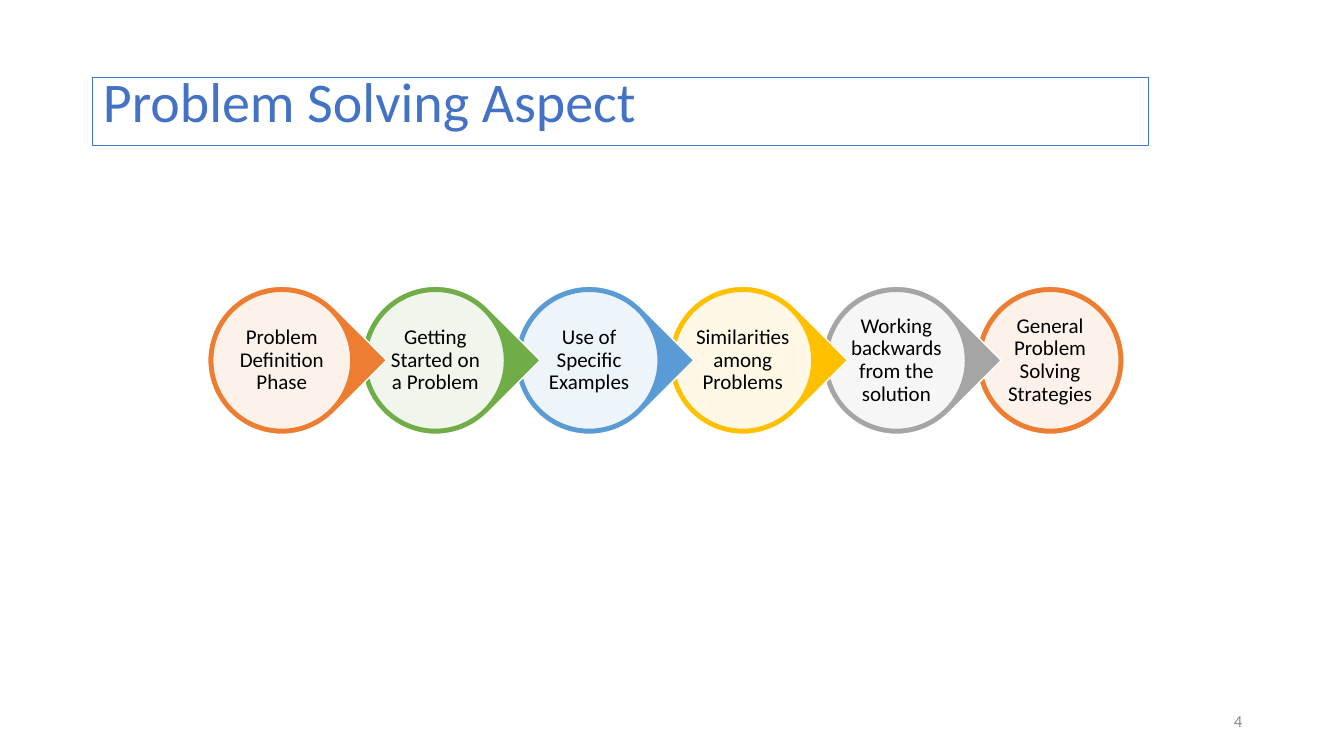
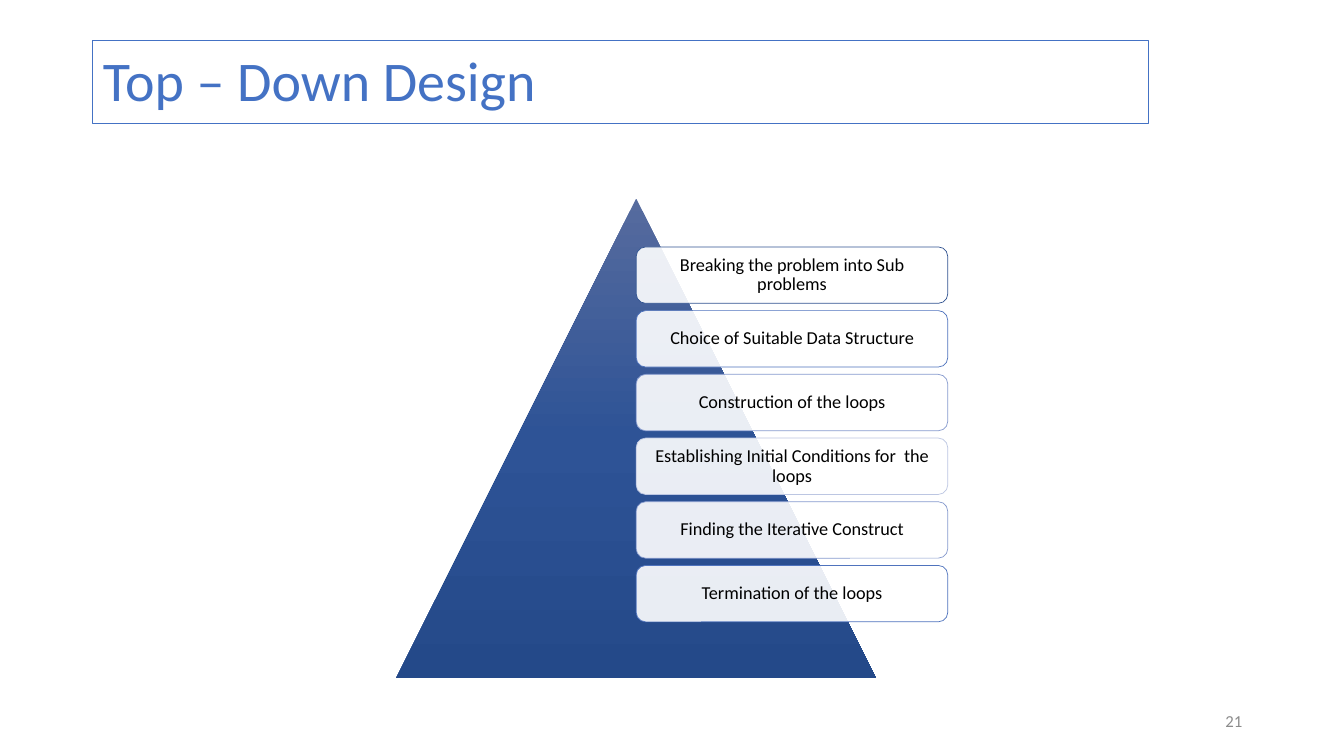
from dataclasses import dataclass
from lxml.etree import SubElement
from pptx import Presentation
from pptx.dml.color import RGBColor
from pptx.enum.shapes import MSO_SHAPE
from pptx.enum.text import MSO_ANCHOR, MSO_AUTO_SIZE, PP_ALIGN
from pptx.oxml import parse_xml
from pptx.oxml.ns import qn
from pptx.util import Emu, Pt

SCALE = 9144


@dataclass(frozen=True)
class Theme:
    font: str = "Calibri"
    blue: str = "4472C4"
    white: str = "FFFFFF"
    black: str = "000000"
    gray: str = "8C8C8C"
    title: int = 40
    step: int = 15
    card: int = 13
    foot: int = 12
    tight: float = 0.9
    veil: int = 90
    slope: tuple = ((0, "566B9E"), (50, "2E5396"), (100, "244989"))


THEME = Theme()

STEPS = (
    ("Problem Definition Phase", "ED7D31"),
    ("Getting Started on a Problem", "70AD47"),
    ("Use of Specific Examples", "5B9BD5"),
    ("Similarities among Problems", "FFC000"),
    ("Working backwards from the solution", "A5A5A5"),
    ("General Problem Solving Strategies", "ED7D31"),
)

CARDS = (
    ("Breaking the problem into Sub problems", "325491"),
    ("Choice of Suitable Data Structure", "4F73BD"),
    ("Construction of the loops", "879BCE"),
    ("Establishing Initial Conditions for  the loops", "BCC6E2"),
    ("Finding the Iterative Construct", "879BCE"),
    ("Termination of the loops", "4F73BD"),
)


def px(num):
    return Emu(round(num * SCALE))


def rgb(code):
    return RGBColor.from_string(code)


def edge(shape, color, width):
    shape.line.color.rgb = rgb(color)
    shape.line.width = Pt(width)


def write(shape, text, size, color, align, anchor=MSO_ANCHOR.MIDDLE,
          pad=10, tight=THEME.tight):
    frame = shape.text_frame
    frame.word_wrap = True
    frame.auto_size = MSO_AUTO_SIZE.NONE
    frame.vertical_anchor = anchor
    frame.margin_left = frame.margin_right = px(pad)
    frame.margin_top = frame.margin_bottom = px(pad)
    para = frame.paragraphs[0]
    para.alignment = align
    para.line_spacing = tight
    para.space_before = Pt(0)
    run = para.add_run()
    run.text = text
    run.font.name = THEME.font
    run.font.size = Pt(size)
    run.font.color.rgb = rgb(color)


def draw(slide, kind, box, fill=None):
    shape = slide.shapes.add_shape(kind, *map(px, box))
    shape.shadow.inherit = False
    if fill:
        shape.fill.solid()
        shape.fill.fore_color.rgb = rgb(fill)
    return shape


def veil(slide, kind, box, color, width):
    shape = draw(slide, kind, box, THEME.white)
    edge(shape, color, width)
    tint = shape.fill._xPr.find(qn("a:solidFill"))[0]
    SubElement(tint, qn("a:alpha"), val=str(THEME.veil * 1000))
    return shape


def shade(shape, stops):
    marks = "".join(
        f'<a:gs pos="{pos * 1000}"><a:srgbClr val="{code}"/></a:gs>'
        for pos, code in stops)
    grad = parse_xml(
        '<a:gradFill xmlns:a="http://schemas.openxmlformats.org/drawingml/2006/main"'
        f' rotWithShape="1"><a:gsLst>{marks}</a:gsLst>'
        '<a:lin ang="5400000" scaled="0"/></a:gradFill>')
    shape.fill.solid()
    props = shape.fill._xPr
    props.replace(props.find(qn("a:solidFill")), grad)


def page(deck, title, top, high, number):
    slide = deck.slides.add_slide(deck.slide_layouts[5])
    head = slide.shapes.title
    head.left, head.top, head.width, head.height = map(px, (92, top, 1047, high))
    edge(head, THEME.blue, 0.75)
    write(head, title, THEME.title, THEME.blue, PP_ALIGN.LEFT, MSO_ANCHOR.BOTTOM)
    foot = slide.shapes.add_textbox(*map(px, (942, 695, 300, 40)))
    write(foot, number, THEME.foot, THEME.gray, PP_ALIGN.RIGHT, tight=1.0)
    return slide


def chain(slide, box, steps):
    left, top, width, size = box
    pitch = (width - size) / (len(steps) - 1)
    rim = 5
    last = len(steps) - 1
    for i, (text, color) in reversed(list(enumerate(steps))):
        x = left + i * pitch
        kind = MSO_SHAPE.OVAL if i == last else MSO_SHAPE.TEAR
        drop = draw(slide, kind, (x, top, size, size), color)
        edge(drop, THEME.white, 1)
        drop.rotation = 0 if i == last else 45
        core = size - 2 * rim
        disc = veil(slide, MSO_SHAPE.OVAL, (x + rim, top + rim, core, core), color, 1)
        write(disc, text, THEME.step, THEME.black, PP_ALIGN.CENTER, pad=2)


def pyramid(slide, box, cards):
    left, top, width, high = box
    peak = draw(slide, MSO_SHAPE.ISOSCELES_TRIANGLE, box)
    shade(peak, THEME.slope)
    peak.line.fill.background()
    stack(slide, (left + width / 2, top + 48, 309, 372), cards)


def stack(slide, box, cards):
    left, top, width, high = box
    tall = 56
    pitch = (high - tall) / (len(cards) - 1)
    for i, (text, color) in enumerate(cards):
        spot = (left, top + i * pitch, width, tall)
        card = veil(slide, MSO_SHAPE.ROUNDED_RECTANGLE, spot, color, 0.5)
        write(card, text, THEME.card, THEME.black, PP_ALIGN.CENTER, pad=5)


def main():
    deck = Presentation()
    deck.slide_width, deck.slide_height = px(1333), px(750)
    chain(page(deck, "Problem Solving Aspect", 77, 67, "4"),
          (206, 284, 909, 147), STEPS)
    pyramid(page(deck, "Top – Down Design", 40, 83, "21"),
            (393, 197, 476, 476), CARDS)
    deck.save("out.pptx")


if __name__ == "__main__":
    main()
